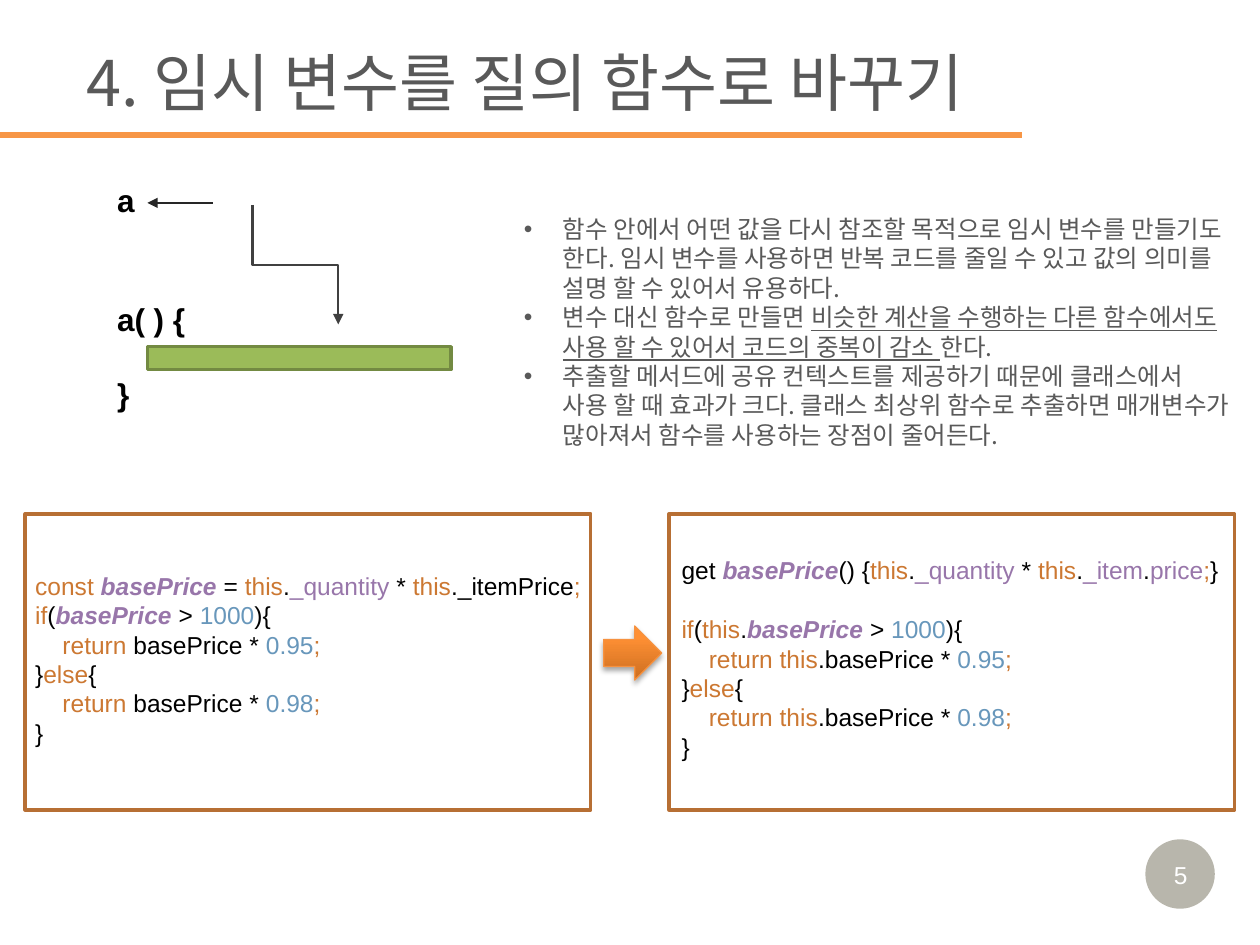
"""Build the slide on replacing a temporary variable with a query."""
from dataclasses import dataclass

from lxml.etree import SubElement as Sub
from pptx import Presentation as Deck
from pptx.dml.color import RGBColor as Rgb
from pptx.enum.shapes import MSO_CONNECTOR as Link, MSO_SHAPE as Form
from pptx.enum.text import MSO_ANCHOR as Anchor, PP_ALIGN as Align
from pptx.oxml.ns import qn
from pptx.util import Cm, Pt

HAN = "Noto Sans CJK KR"
GRAY, BLACK, WHITE = "595959", "000000", "FFFFFF"
KEY = {"color": "CC7832"}
NAME = {"color": "9876AA"}
VAR = {"color": "9876AA", "bold": True, "italic": True}
NUM = {"color": "6897BB"}
LINE = {"under": True}


@dataclass
class Row:
    """One paragraph: its (text, format) runs and its spacing."""
    runs: list
    left: float = 0
    gap: float = 0
    dot: bool = False


def tint(code):
    """Turn a hex string into a colour."""
    return Rgb.from_string(code)


def style(run, size=14, font="Arial", color=BLACK, bold=False, italic=False, under=False):
    """Format one run."""
    face = run.font
    face.size, face.name = Pt(size), font
    face.bold, face.italic, face.underline = bold, italic, under
    face.color.rgb = tint(color)
    if font == HAN:
        Sub(face._element, qn("a:ea"), typeface=font)


def write(slide, at, rows, wrap=True, anchor=Anchor.TOP, align=Align.LEFT, **form):
    """Add a text box with one paragraph for each row."""
    frame = slide.shapes.add_textbox(*map(Cm, at)).text_frame
    frame.word_wrap, frame.vertical_anchor = wrap, anchor
    for i, row in enumerate(rows):
        para = frame.add_paragraph() if i else frame.paragraphs[0]
        para.alignment = align
        para.line_spacing = Pt(1.2 * form.get("size", 14))
        para.space_before = Pt(row.gap)
        props = para._p.get_or_add_pPr()
        props.set("marL", str(Cm(row.left)))
        if row.dot:
            props.set("indent", str(-Cm(row.left)))
            Sub(props, qn("a:buFont"), typeface="Arial")
            Sub(props, qn("a:buChar"), char="•")
        for text, own in row.runs:
            run = para.add_run()
            run.text = text
            style(run, **{**form, **own})


def shape(slide, kind, at, fill=None, edge=None, width=2):
    """Add a preset shape without a shadow."""
    item = slide.shapes.add_shape(kind, *map(Cm, at))
    item.shadow.inherit = False
    if fill:
        item.fill.solid()
        item.fill.fore_color.rgb = tint(fill)
    else:
        item.fill.background()
    if edge:
        item.line.color.rgb, item.line.width = tint(edge), Pt(width)
    else:
        item.line.fill.background()
    return item


def wire(slide, ends, color, width, kind=Link.STRAIGHT, head=True, turn=0):
    """Add a connector, with an arrowhead at its end if asked."""
    item = slide.shapes.add_connector(kind, *map(Cm, ends))
    item.line.color.rgb, item.line.width = tint(color), Pt(width)
    props = item._element.spPr
    if head:
        Sub(item.line._get_or_add_ln(), qn("a:tailEnd"), type="triangle")
    if turn:
        props.find(qn("a:xfrm")).set("rot", str(turn * 60000))
    Sub(props, qn("a:effectLst"))


def arrow(slide, at):
    """Add the shaded block arrow between the two code boxes."""
    item = shape(slide, Form.RIGHT_ARROW, at, edge="F69240", width=0.75)
    item.fill.gradient()
    item.fill.gradient_angle = 90
    for stop, (spot, code) in zip(item.fill.gradient_stops, [(0, "CC6E20"), (0.8, "FF9034")]):
        stop.position, stop.color.rgb = spot, tint(code)
    glow = Sub(item._element.spPr.find(qn("a:effectLst")), qn("a:outerShdw"),
               blurRad=str(Pt(3.1)), dist=str(Pt(1.8)), dir="5400000", rotWithShape="0")
    Sub(Sub(glow, qn("a:srgbClr"), val=BLACK), qn("a:alpha"), val="35000")


def badge(slide, text):
    """Add the page number on its translucent disc."""
    disc = shape(slide, Form.OVAL, (23.09, 16.92, 1.4, 1.4), "4A452A")
    Sub(disc._element.spPr.find(".//" + qn("a:srgbClr")), qn("a:alpha"), val="39000")
    write(slide, (23.24, 17.22, 1.12, 0.86), [Row([(text, {})])],
          wrap=False, align=Align.CENTER, color=WHITE)


def branch(test, key, base, gap=0):
    """Give the code rows of the price condition."""
    def back(rate):
        return Row([(key, KEY), (base + " * ", {}), (rate, NUM), (";", KEY)], left=0.55)

    return [
        Row([("if", KEY), ("(", {}), *test, ("basePrice ", VAR), ("> ", {}),
             ("1000", NUM), ("){", {})], gap=gap),
        back("0.95"),
        Row([("}", {}), ("else", KEY), ("{", {})]),
        back("0.98"),
        Row([("}", {})]),
    ]


def sketch(slide):
    """Draw the small picture of a variable turning into a function."""
    bold = {"size": 18, "bold": True}
    write(slide, (2.11, 5.92, 7.8, 2.57),
          [Row([("a( ) {", {})]), Row([("}", {})], gap=21.6)], **bold)
    write(slide, (2.11, 3.53, 0.86, 1.02), [Row([("a", {})])], wrap=False, **bold)
    wire(slide, (4.29, 4.09, 2.97, 4.09), "262626", 1.25)
    shape(slide, Form.RECTANGLE, (2.97, 6.99, 6.12, 0.46), "9BBB59", "738A42")
    wire(slide, (7.16, 4.47, 4.75, 6.2), "404040", 1.25, Link.ELBOW, turn=270)


def notes(slide):
    """Add the bulleted explanation."""
    items = [
        [("함수 안에서 어떤 값을 다시 참조할 목적으로 임시 변수를 만들기도 한다. 임시 변수를 "
          "사용하면 반복 코드를 줄일 수 있고 값의 의미를 설명 할 수 있어서 유용하다.", {})],
        [("변수 대신 함수로 만들면 ", {}),
         ("비슷한 계산을 수행하는 다른 함수에서도 사용 할 수 있어서 코드의 중복이 감소 ", LINE),
         ("한다.", {})],
        [("추출할 메서드에 공유 컨텍스트를 제공하기 때문에 클래스에서 사용 할 때 효과가 크다. "
          "클래스 최상위 함수로 추출하면 매개변수가 많아져서 함수를 사용하는 장점이 줄어든다.", {})],
    ]
    write(slide, (10.31, 3.84, 14.73, 5.69), [Row(runs, left=0.79, dot=True) for runs in items],
          anchor=Anchor.MIDDLE, font=HAN, color=GRAY)


def code(slide):
    """Add the code before and after the change."""
    for left in (0.51, 13.49):
        shape(slide, Form.RECTANGLE, (left, 10.36, 11.4, 5.97), edge="B76F34")
    arrow(slide, (12.17, 12.62, 1.17, 1.09))
    this, dot = ("this", KEY), (".", {})
    count = [this, dot, ("_quantity ", NAME), ("* ", {}), this]
    old = Row([("const ", KEY), ("basePrice ", VAR), ("= ", {}), *count,
               ("._itemPrice", {}), (";", KEY)])
    new = Row([("get ", {}), ("basePrice", VAR), ("() {", {}), *count, dot,
               ("_item", NAME), dot, ("price", NAME), (";", KEY), ("}", {})])
    write(slide, (0.46, 11.38, 11.84, 3.84), [old, *branch([], "return ", "basePrice")])
    write(slide, (13.49, 11.07, 11.53, 4.45),
          [new, *branch([this, dot], "return this", ".basePrice", gap=16.8)])


def main():
    """Build and save the deck."""
    deck = Deck()
    deck.slide_width, deck.slide_height = Cm(25.4), Cm(19.05)
    slide = deck.slides.add_slide(deck.slide_layouts[6])
    badge(slide, "5")
    write(slide, (1.5, 0.74, 23.9, 1.8), [Row([("4. 임시 변수를 질의 함수로 바꾸기", {})])],
          anchor=Anchor.MIDDLE, size=36, font=HAN, color=GRAY)
    wire(slide, (0, 2.72, 20.6, 2.72), "F79646", 3, head=False)
    notes(slide)
    sketch(slide)
    code(slide)
    deck.save("out.pptx")


if __name__ == "__main__":
    main()
